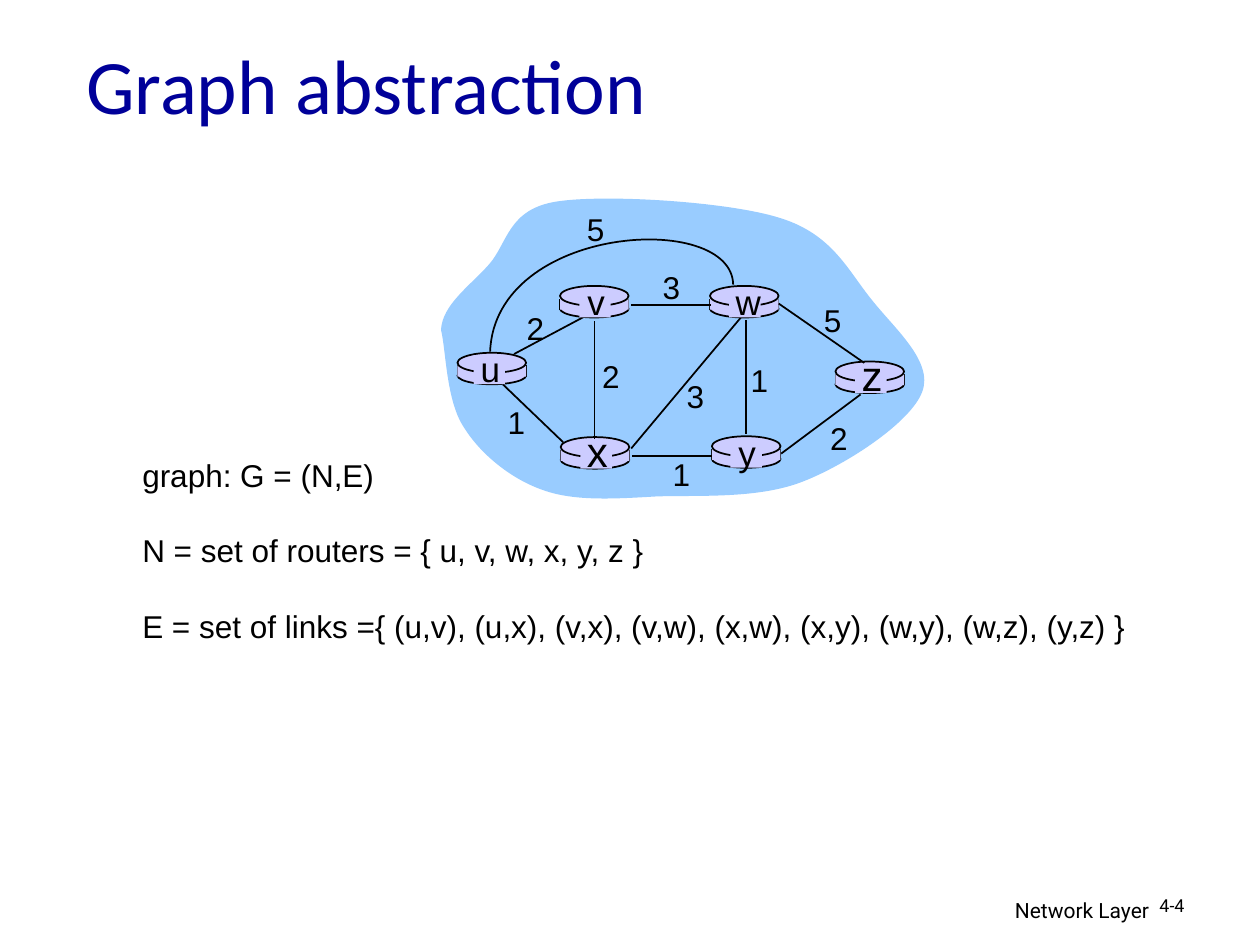
from lxml import etree
from pptx import Presentation
from pptx.dml.color import RGBColor
from pptx.enum import shapes, text
from pptx.oxml import ns
from pptx.util import Pt

BLACK = RGBColor(0, 0, 0)
NAVY = RGBColor(0, 0, 0x99)
SKY = RGBColor(0x99, 0xCC, 0xFF)
LILAC = RGBColor(0xCC, 0xCC, 0xFF)

TITLE = "Graph abstraction"
DEFINITIONS = [
    "graph: G = (N,E)",
    "N = set of routers = { u, v, w, x, y, z }",
    "E = set of links ={ (u,v), (u,x), (v,x), (v,w), (x,w), (x,y), (w,y), (w,z), (y,z) }",
]
ROUTERS = [
    ("u", 261.4, 201.6, 20, 280.2), ("x", 320.4, 249.8, 24, 341.3),
    ("v", 320, 163.4, 20, 340.6), ("w", 405.7, 163.4, 20, 426.2),
    ("y", 406.8, 249.3, 20, 427), ("z", 477.4, 206.6, 24, 498.2),
]
BACK_LINK = (293.8, 202.3, 337, 179.3)
LINKS = [
    (426.2, 182.9, 426.2, 248), (339.8, 183.6, 339.8, 250.6),
    (360.7, 256.3, 423.4, 181.4), (446.4, 259.2, 491.8, 225.4),
    (406.8, 260.6, 361.4, 260.6), (321.8, 252.7, 287.3, 219.6),
    (406.1, 174.2, 360.7, 174.2), (493.9, 207.4, 445, 173.5),
]
COSTS = [
    ("2", 293.8, 172.8), ("2", 337, 200.2), ("1", 283, 226.8), ("3", 385.2, 211.7),
    ("1", 377.3, 256.3), ("1", 421.9, 202.6), ("2", 467.3, 235.7),
    ("5", 463.7, 168.5), ("3", 371.5, 149.8), ("5", 328.3, 116.2),
]
CLOUD = [
    (252, 188.6), (252.7, 174.2), (268.6, 163.4), (279.4, 151.2),
    (290.2, 139), (290.2, 119.5), (318.2, 115.2),
    (345.6, 110.9), (416.2, 115.2), (445.7, 124.6),
    (475.9, 133.9), (484.6, 154.8), (498.2, 171.4),
    (511.2, 187.9), (533.5, 206.6), (527, 223.9),
    (520.6, 241.2), (484.6, 265), (459.4, 275),
    (434.2, 285.1), (401, 283), (375.8, 283.7),
    (351.4, 285.1), (328.3, 286.6), (310.3, 280.1),
    (291.6, 273.6), (274.3, 259.2), (265, 244.1),
    (254.9, 228.9), (254.9, 200.2), (252, 188.6),
]
ARC = [(419, 162.7), (418.3, 120.2), (283, 128.2), (280.1, 200.9)]
ROUTER_WIDTH = 39.2


def style(shape, fill=None, outlined=False):
    shape.shadow.inherit = False
    if fill is None:
        shape.fill.background()
    else:
        shape.fill.solid()
        shape.fill.fore_color.rgb = fill
    if outlined:
        shape.line.color.rgb = BLACK
        shape.line.width = Pt(1)
    else:
        shape.line.fill.background()


def add_solid(parent, kind, left, top, width, height, outlined=False):
    shape = parent.add_shape(kind, Pt(left), Pt(top), Pt(width), Pt(height))
    style(shape, LILAC, outlined)


def add_line(parent, x1, y1, x2, y2):
    line = parent.add_connector(shapes.MSO_CONNECTOR.STRAIGHT, Pt(x1), Pt(y1), Pt(x2), Pt(y2))
    line.line.color.rgb = BLACK
    line.line.width = Pt(1)
    etree.SubElement(line._element.spPr, ns.qn("a:effectLst"))


def add_curve(parent, knots, closed):
    points = [(Pt(x), Pt(y)) for x, y in knots]
    builder = parent.build_freeform(*points[0])
    builder.add_line_segments(points[1:], close=closed)
    shape = builder.convert_to_shape()
    straights = list(shape._element.iter(ns.qn("a:lnTo")))
    for first in range(0, len(straights), 3):
        trio = straights[first:first + 3]
        bezier = etree.Element(ns.qn("a:cubicBezTo"))
        trio[0].addprevious(bezier)
        for straight in trio:
            bezier.append(straight[0])
            straight.getparent().remove(straight)
    return shape


def add_text(parent, lines, left, top, width, height, size, font="Arial", color=BLACK,
             align=text.PP_ALIGN.LEFT, wrap=False, gap=0, spacing=None,
             anchor=text.MSO_ANCHOR.TOP):
    box = parent.add_textbox(Pt(left), Pt(top), Pt(width), Pt(height))
    frame = box.text_frame
    frame.word_wrap = wrap
    frame.vertical_anchor = anchor
    if not wrap:
        frame.auto_size = text.MSO_AUTO_SIZE.SHAPE_TO_FIT_TEXT
    for number, line in enumerate(lines):
        para = frame.add_paragraph() if number else frame.paragraphs[0]
        para.text = line
        para.alignment = align
        if number and gap:
            para.space_before = Pt(gap)
        if spacing:
            para.line_spacing = spacing
        para.font.size = Pt(size)
        para.font.name = font
        para.font.color.rgb = color


def add_router(parent, left, top):
    oval, rect = shapes.MSO_SHAPE.OVAL, shapes.MSO_SHAPE.RECTANGLE
    add_solid(parent, oval, left, top + 8, ROUTER_WIDTH, 10, True)
    for x in (left, left + ROUTER_WIDTH):
        add_line(parent, x, top + 7.2, x, top + 13.6)
    add_solid(parent, rect, left, top + 7.2, ROUTER_WIDTH, 6.4)
    add_solid(parent, oval, left, top, ROUTER_WIDTH, 11.4, True)


def add_name(parent, name, top, size, center):
    add_solid(parent, shapes.MSO_SHAPE.RECTANGLE, center - 9.6, top + 1.4, 18, 16.6)
    add_text(parent, [name], center - 13, top + 12.5 - 0.95 * size, 26, 1.15 * size + 8.6,
             size, align=text.PP_ALIGN.CENTER)


def main():
    deck = Presentation()
    deck.slide_width, deck.slide_height = Pt(720), Pt(540)
    page = deck.slides.add_slide(deck.slide_layouts[6])

    add_text(page.shapes, ["Network Layer"], 435.6, 509.3, 228.2, 22.3, 12, "Roboto",
             align=text.PP_ALIGN.RIGHT, wrap=True)
    add_text(page.shapes, ["4-4"], 655.5, 509.3, 53.3, 21.6, 10.2, "Roboto",
             wrap=True, spacing=0.9)

    network = page.shapes.add_group_shape().shapes
    style(add_curve(network, CLOUD, True), SKY)
    add_line(network, *BACK_LINK)
    for name, left, top, size, center in ROUTERS:
        add_router(network, left, top)
    for link in LINKS:
        add_line(network, *link)
    style(add_curve(network, ARC, False), outlined=True)
    for name, left, top, size, center in ROUTERS:
        add_name(network, name, top, size, center)
    for cost, left, top in COSTS:
        add_text(network, [cost], left, top, 24, 29, 18, align=text.PP_ALIGN.CENTER)

    add_text(page.shapes, DEFINITIONS, 74.2, 257, 582.5, 115.2, 18, gap=21.6)
    add_text(page.shapes, [TITLE], 42.3, 16.6, 612, 62.6, 44, "Calibri", NAVY,
             wrap=True, anchor=text.MSO_ANCHOR.MIDDLE)
    deck.save("out.pptx")


if __name__ == "__main__":
    main()
